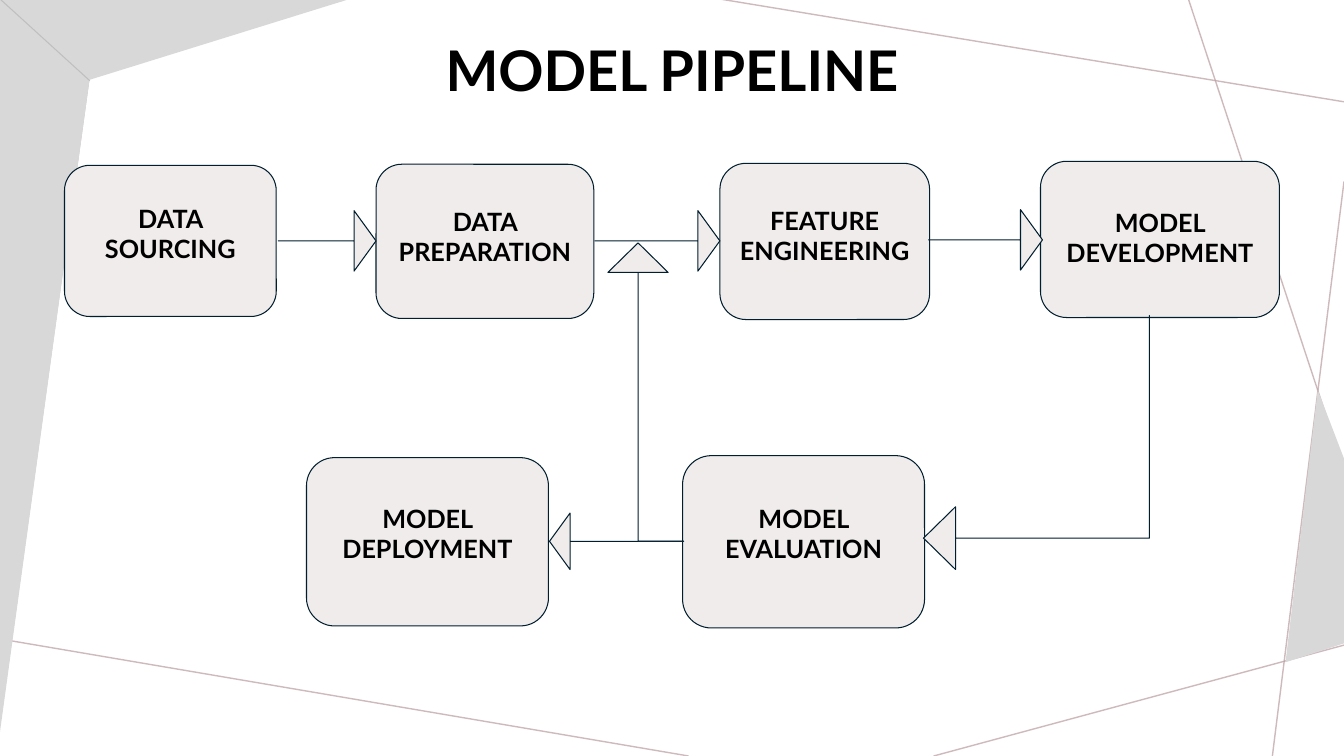
from lxml import etree
from pptx import Presentation
from pptx.dml.color import RGBColor
from pptx.enum.shapes import MSO_CONNECTOR, MSO_SHAPE
from pptx.enum.text import MSO_ANCHOR, PP_ALIGN
from pptx.oxml.ns import qn
from pptx.util import Inches, Pt

STRAIGHT = MSO_CONNECTOR.STRAIGHT
ROUNDED = MSO_SHAPE.ROUNDED_RECTANGLE
RIGHT_ARROW = MSO_SHAPE.RIGHT_ARROW
BENT_ARROW = MSO_SHAPE.BENT_UP_ARROW
TOP, MIDDLE = MSO_ANCHOR.TOP, MSO_ANCHOR.MIDDLE
CENTER = PP_ALIGN.CENTER

FONT = "Lato"
BLACK, PANEL, OUTLINE = "000000", "F0ECEC", "001E2E"
ROSE, SHADE, CREASE = "BA9CA0", "D8D8D8", "BFBFBF"


def paint(color_format, color):
    color_format.rgb = RGBColor.from_string(color)


def write(frame, lines, size, anchor):
    """Fill a text frame with bold centred paragraphs."""
    frame.word_wrap = True
    frame.vertical_anchor = anchor
    frame.text = "\n".join(lines)
    for para in frame.paragraphs:
        para.alignment = CENTER
        para.font.name = FONT
        para.font.size = Pt(size)
        para.font.bold = True
        paint(para.font.color, BLACK)


deck = Presentation()
deck.slide_width, deck.slide_height = Inches(13.33), Inches(7.5)
page = deck.slides.add_slide(deck.slide_layouts[5])

# Title
title = page.shapes.title
title.left, title.top = Inches(4.25), Inches(0.25)
title.width, title.height = Inches(4.83), Inches(0.88)
write(title.text_frame, ["MODEL PIPELINE"], 40, MIDDLE)

# Grey corner facets
facets = [
    [(1, -0.03), (-0.01, 7.33), (0, -0.01)],
    [(0.83, 0.81), (3.47, -0.01), (0.9, -0.03)],
    [(13.07, 3.87), (12.75, 6.57), (13.37, 6.37), (13.33, 4.55)],
]
for corners in facets:
    points = [(Inches(x), Inches(y)) for x, y in corners]
    builder = page.shapes.build_freeform(*points[0])
    builder.add_line_segments(points[1:], close=True)
    facet = builder.convert_to_shape()
    facet.shadow.inherit = False
    facet.fill.solid()
    paint(facet.fill.fore_color, SHADE)
    facet.line.fill.background()

# Thin background lines: ends, colour, width, opacity in percent
background_lines = [
    (3.41, 0, 0, 0.75, ROSE, 1, 69),
    (0.99, 0, 0, 7.16, ROSE, 1, 69),
    (6.83, 7.5, -0.05, 6.33, ROSE, 1, 69),
    (13.33, 6.4, 9.26, 7.5, ROSE, 1, 69),
    (13.33, 1.8, 12.62, 7.5, ROSE, 1, 69),
    (13.33, 4.66, 11.79, 0, ROSE, 1, 69),
    (13.33, 1.01, 7.14, -0.01, ROSE, 1, 69),
    (0, -0.01, 0.89, 0.8, CREASE, 0.75, 100),
]
# Facets cover the rose lines, while the crease lies on top of them
first_facet = page.shapes[1]
for *ends, color, width, opacity in background_lines:
    line = page.shapes.add_connector(STRAIGHT, *map(Inches, ends))
    line.line.width = Pt(width)
    paint(line.line.color, color)
    etree.SubElement(line._element.spPr, qn("a:effectLst"))
    if opacity < 100:
        tint = line._element.spPr.find(".//" + qn("a:srgbClr"))
        etree.SubElement(tint, qn("a:alpha")).set("val", str(opacity * 1000))
        first_facet._element.addprevious(line._element)

# Pipeline steps: left, top, width, height, top of label, label paragraphs
steps = [
    (0.64, 1.64, 2.1, 1.5, 1.91, ["DATA SOURCING"]),
    (3.73, 1.63, 2.16, 1.53, 1.94, ["DATA PREPARATION"]),
    (7.14, 1.62, 2.08, 1.55, 1.93, ["FEATURE", "ENGINEERING"]),
    (10.32, 1.6, 2.37, 1.55, 1.95, ["MODEL DEVELOPMENT"]),
    (6.77, 4.52, 2.4, 1.71, 4.88, ["MODEL EVALUATION"]),
    (3.04, 4.54, 2.4, 1.67, 4.88, ["MODEL DEPLOYMENT"]),
]
outlined = []
for left, top, width, height, label_top, label in steps:
    box = page.shapes.add_shape(ROUNDED, *map(Inches, (left, top, width, height)))
    box.adjustments[0] = 0.167
    frame = box.text_frame
    frame.margin_left = frame.margin_right = Inches(0.08)
    frame.margin_top = Inches(label_top - top + 0.03)
    frame.margin_bottom = 0
    write(frame, label, 18, TOP)
    outlined.append(box)

# Arrows: preset, place, rotation, mirrored, adjustments
arrows = [
    (RIGHT_ARROW, (2.76, 2.09, 0.97, 0.6), 0, False, (0, 0.363)),
    (RIGHT_ARROW, (5.9, 2.09, 1.24, 0.6), 0, False, (0, 0.363)),
    (RIGHT_ARROW, (9.21, 2.08, 1.13, 0.6), 0, False, (0, 0.363)),
    (BENT_ARROW, (9.02, 3.27, 2.52, 2.24), 270, True, (0, 0.139, 0.142)),
    (RIGHT_ARROW, (5.45, 5.09, 1.33, 0.56), 180, False, (0, 0.363)),
    (BENT_ARROW, (6.03, 2.41, 0.75, 2.96), 0, True, (0, 0.398, 0.391)),
]
for preset, place, rotation, mirrored, adjustments in arrows:
    arrow = page.shapes.add_shape(preset, *map(Inches, place))
    arrow.rotation = rotation
    if mirrored:
        arrow._element.spPr.find(qn("a:xfrm")).set("flipH", "1")
    for index, value in enumerate(adjustments):
        arrow.adjustments[index] = value
    outlined.append(arrow)

# Shared look of steps and arrows
for shape in outlined:
    shape.shadow.inherit = False
    shape.fill.solid()
    paint(shape.fill.fore_color, PANEL)
    shape.line.width = Pt(0.75)
    paint(shape.line.color, OUTLINE)

deck.save("out.pptx")
